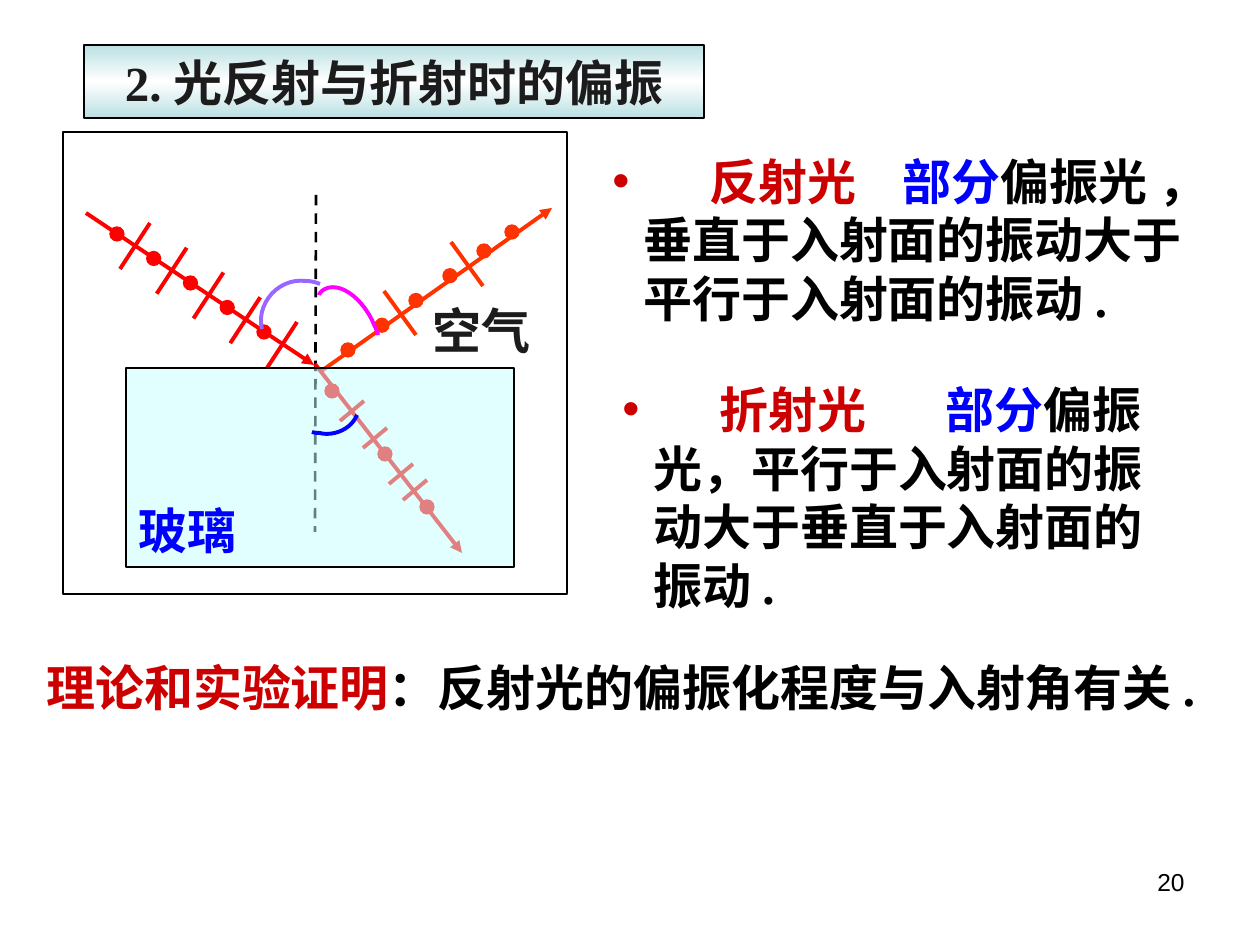
"""Slide on the polarisation of light by reflection and refraction."""
from copy import deepcopy
from dataclasses import dataclass

from lxml import etree
from pptx import Presentation, util as u
from pptx.dml.color import RGBColor
from pptx.enum import dml, shapes, text
from pptx.oxml import ns

PX = 914400 / 126
COLORS = {
    "black": "000000", "white": "FFFFFF", "ink": "1C1C1C", "crimson": "CC0000",
    "blue": "0000FF", "red": "FF0000", "orange": "FF3300", "magenta": "FF00FF",
    "violet": "9966FF", "glass": "C5FFFF", "teal": "BBE0E3",
}
Point = tuple[float, float]


@dataclass(frozen=True)
class Ray:
    start: Point
    end: Point
    color: str
    dots: list[Point]
    ticks: list[Point]
    half_tick: Point


@dataclass(frozen=True)
class Arc:
    color: str
    start: Point
    curves: list[tuple[Point, Point, Point]]


@dataclass(frozen=True)
class Caption:
    box: tuple[int, int, int, int]
    runs: list[tuple[str, str]]
    tabs: tuple[int, ...] = ()
    align: text.PP_ALIGN = text.PP_ALIGN.LEFT
    size: int = 28
    font: str = "Times New Roman"
    bold: bool = True


def emu(px: float) -> u.Emu:
    return u.Emu(round(px * PX))


def rgb(name: str) -> RGBColor:
    return RGBColor.from_string(COLORS[name])


def sub(parent, tag: str, **attrs: str):
    return etree.SubElement(parent, ns.qn(tag), attrs)


def spread(first: Point, last: Point, count: int) -> list[Point]:
    return [tuple(a + (b - a) * i / (count - 1) for a, b in zip(first, last))
            for i in range(count)]


def add_block(slide, kind, box, fill: str, outline: str = "black"):
    block = slide.shapes.add_shape(kind, *map(emu, box))
    block.shadow.inherit = False
    block.fill.solid()
    block.fill.fore_color.rgb = rgb(fill)
    block.line.color.rgb = rgb(outline)
    block.line.width = u.Pt(0.75)
    return block


def add_line(slide, start: Point, end: Point, color: str, width: float = 2.25):
    line = slide.shapes.add_connector(
        shapes.MSO_CONNECTOR.STRAIGHT, *map(emu, (*start, *end)))
    line.line.color.rgb = rgb(color)
    line.line.width = u.Pt(width)
    sub(line._element.spPr, "a:effectLst")
    return line


def add_ray(slide, ray: Ray) -> None:
    shaft = add_line(slide, ray.start, ray.end, ray.color)
    sub(shaft.line._get_or_add_ln(), "a:tailEnd", type="triangle")
    dx, dy = ray.half_tick
    for x, y in ray.ticks:
        add_line(slide, (x - dx, y - dy), (x + dx, y + dy), ray.color)
    for x, y in ray.dots:
        add_block(slide, shapes.MSO_SHAPE.OVAL, (x - 7, y - 7, 14, 14),
                  ray.color, ray.color)


def add_arc(slide, arc: Arc, steps: int = 12) -> None:
    points, here = [], arc.start
    for a, b, end in arc.curves:
        for t in (i / steps for i in range(1, steps + 1)):
            s = 1 - t
            points.append(tuple(
                s**3 * p + 3 * s * s * t * q + 3 * s * t * t * r + t**3 * e
                for p, q, r, e in zip(here, a, b, end)))
        here = end
    builder = slide.shapes.build_freeform(*map(emu, arc.start), scale=1.0)
    builder.add_line_segments([tuple(map(emu, p)) for p in points], close=False)
    curve = builder.convert_to_shape()
    curve.shadow.inherit = False
    curve.fill.background()
    curve.line.color.rgb = rgb(arc.color)
    curve.line.width = u.Pt(2.25)


def write(frame, caption: Caption) -> None:
    frame.word_wrap = True
    paragraph = frame.paragraphs[0]
    paragraph.alignment = caption.align
    if caption.tabs:
        props = paragraph._p.get_or_add_pPr()
        props.set("marL", str(emu(31)))
        props.set("indent", str(emu(-31)))
        sub(props, "a:buFont", typeface="Arial")
        sub(props, "a:buChar", char="•")
        stops = sub(props, "a:tabLst")
        for stop in caption.tabs:
            sub(stops, "a:tab", pos=str(emu(stop)), algn="l")
    for words, color in caption.runs:
        run = paragraph.add_run()
        run.text = words
        run.font.size = u.Pt(caption.size)
        run.font.name = caption.font
        run.font.bold = caption.bold
        run.font.color.rgb = rgb(color)


def add_caption(slide, caption: Caption) -> None:
    write(slide.shapes.add_textbox(*map(emu, caption.box)).text_frame, caption)


def add_title(slide, caption: Caption) -> None:
    banner = add_block(slide, shapes.MSO_SHAPE.RECTANGLE, caption.box, "white")
    banner.fill.gradient()
    banner.fill.gradient_angle = 90
    first = banner.fill.gradient_stops[0]._gs
    first.addnext(deepcopy(first))
    for stop, color, place in zip(banner.fill.gradient_stops,
                                  ("teal", "white", "teal"), (0, 0.5, 1)):
        stop.color.rgb = rgb(color)
        stop.position = place
    write(banner.text_frame, caption)


def add_glass(slide) -> None:
    glass = add_block(slide, shapes.MSO_SHAPE.RECTANGLE, (126, 368, 388, 199), "glass")
    tint = glass._element.spPr.find(ns.qn("a:solidFill"))[0]
    sub(tint, "a:alpha", val="50000")


INCIDENT = Ray((86, 213), (314, 365), "red", spread((117, 234), (264, 332), 5),
               spread((135, 246), (282, 345), 5), (-15, 23))
REFLECTED = Ray((320, 372), (552, 208), "orange",
                spread((348, 350), (484, 251), 5) + [(512, 232)],
                [(400, 313), (467, 264)], (16, 22))
REFRACTED = Ray((315, 364), (462, 553), "red", [(332, 391), (385, 454), (427, 507)],
                [(352, 411), (375, 438), (401, 474), (415, 490)], (12, -10))
REFLECTION_ANGLE = Arc("magenta", (319, 295), [
    ((320, 292), (323, 290), (325, 289)), ((339, 282), (360, 296), (372, 320)),
    ((374, 325), (377, 330), (378, 335))])
INCIDENCE_ANGLE = Arc("violet", (320, 284), [
    ((315, 282), (311, 281), (306, 281)), ((284, 278), (263, 295), (261, 318)),
    ((261, 321), (261, 325), (262, 329))])
REFRACTION_ANGLE = Arc("blue", (312, 432), [
    ((315, 433), (318, 433), (319, 433)), ((335, 437), (352, 428), (357, 415))])
TITLE = Caption((84, 45, 620, 73), [("2. 光反射与折射时的偏振", "ink")],
                align=text.PP_ALIGN.CENTER)
AIR = Caption((420, 294, 179, 72), [("空气", "ink")])
GLASS = Caption((126, 494, 176, 72), [("玻璃", "blue")])
FINDINGS = [
    Caption((600, 145, 620, 189), [
        ("\t反射光\t", "crimson"), ("部分", "blue"),
        ("偏振光 ，垂直于入射面的振动大于平行于入射面的振动 .", "black")], (97, 290)),
    Caption((610, 373, 576, 248), [
        ("\t折射光\t", "crimson"), ("部分", "blue"),
        ("偏振光，平行于入射面的振动大于垂直于入射面的振动 .", "black")], (97, 323)),
    Caption((34, 651, 1281, 72), [
        ("理论和实验证明", "crimson"),
        ("：反射光的偏振化程度与入射角有关 .", "black")]),
]
PAGE_NUMBER = Caption((903, 861, 294, 66), [("20", "black")],
                      align=text.PP_ALIGN.RIGHT, size=14, font="Arial", bold=False)


def main() -> None:
    deck = Presentation()
    deck.slide_width, deck.slide_height = emu(1260), emu(945)
    slide = deck.slides.add_slide(deck.slide_layouts[6])
    add_block(slide, shapes.MSO_SHAPE.RECTANGLE, (63, 132, 504, 462), "white")
    add_caption(slide, AIR)
    add_ray(slide, REFLECTED)
    add_arc(slide, REFLECTION_ANGLE)
    normal = add_line(slide, (316, 195), (315, 532), "black", 1.5)
    normal.line.dash_style = dml.MSO_LINE.DASH
    for finding in FINDINGS:
        add_caption(slide, finding)
    add_ray(slide, INCIDENT)
    add_arc(slide, INCIDENCE_ANGLE)
    add_ray(slide, REFRACTED)
    add_title(slide, TITLE)
    add_glass(slide)
    add_caption(slide, GLASS)
    add_arc(slide, REFRACTION_ANGLE)
    add_caption(slide, PAGE_NUMBER)
    deck.save("out.pptx")


if __name__ == "__main__":
    main()
